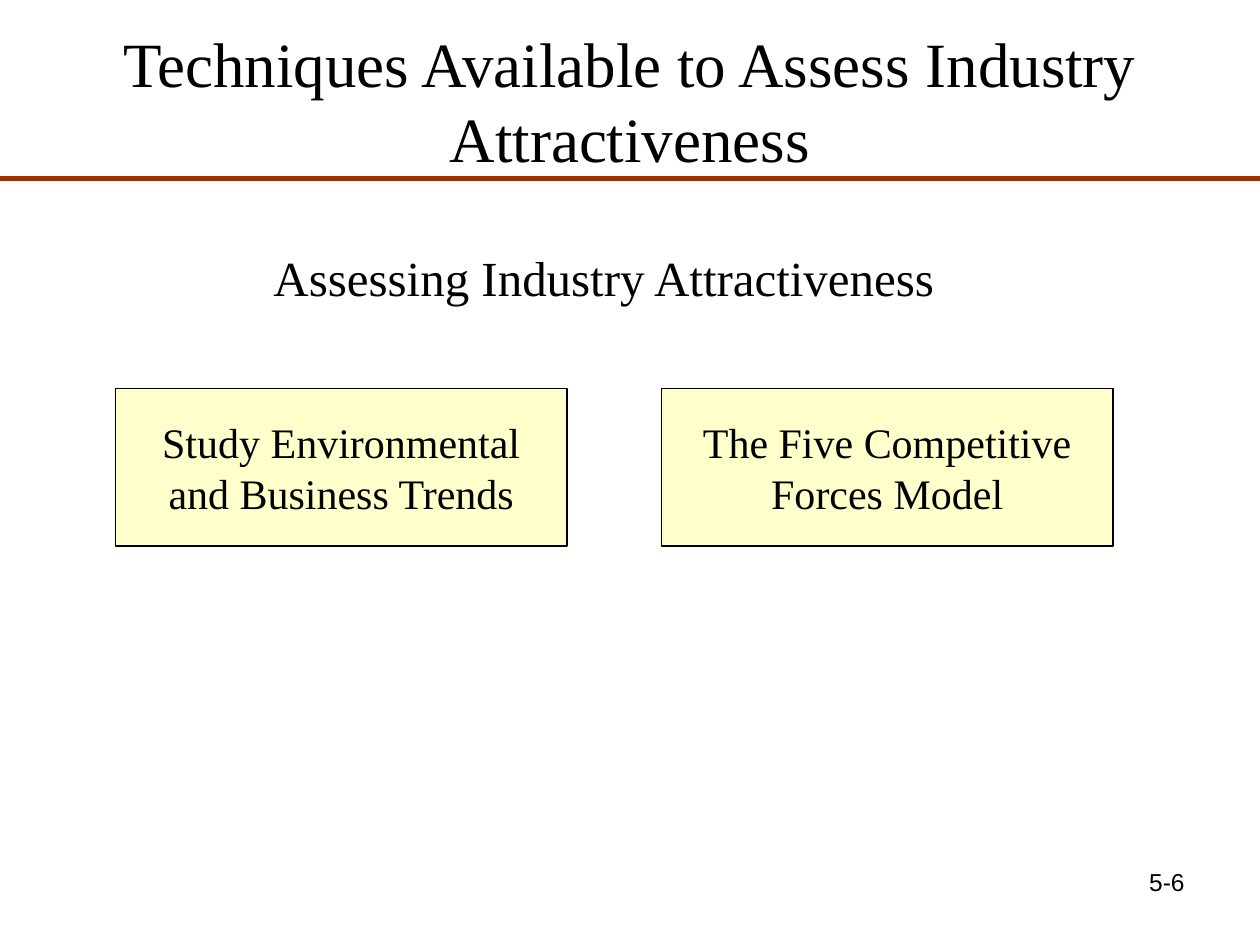
from pptx import Presentation
from pptx.dml.color import RGBColor
from pptx.enum.shapes import MSO_CONNECTOR, MSO_SHAPE
from pptx.enum.text import MSO_ANCHOR, PP_ALIGN
from pptx.oxml.ns import qn
from pptx.util import Pt
from lxml import etree

BLACK = RGBColor(0x00, 0x00, 0x00)
RUST = RGBColor(0x99, 0x33, 0x00)
CREAM = RGBColor(0xFF, 0xFF, 0xCC)
SERIF, SANS = "Times New Roman", "Arial"
CENTER, RIGHT = PP_ALIGN.CENTER, PP_ALIGN.RIGHT
TOP, MIDDLE = MSO_ANCHOR.TOP, MSO_ANCHOR.MIDDLE


def write(frame, lines, size, font=SERIF, align=CENTER, anchor=TOP, wrap=True):
    """Fill a text frame with one paragraph per item of lines."""
    frame.word_wrap = wrap
    frame.vertical_anchor = anchor
    frame.text = "\n".join(lines)
    for paragraph in frame.paragraphs:
        paragraph.alignment = align
        paragraph.font.name = font
        paragraph.font.size = Pt(size)
        paragraph.font.color.rgb = BLACK


prs = Presentation()
prs.slide_width, prs.slide_height = Pt(720), Pt(540)
slide = prs.slides.add_slide(prs.slide_layouts[6])
shapes = slide.shapes

title = shapes.add_textbox(Pt(36), Pt(12), Pt(648), Pt(90))
write(title.text_frame, ["Techniques Available to Assess Industry\vAttractiveness"],
      36, anchor=MIDDLE)

title_rule = shapes.add_connector(MSO_CONNECTOR.STRAIGHT, Pt(0), Pt(102), Pt(720), Pt(102))
title_rule.line.color.rgb = RUST
title_rule.line.width = Pt(3)
etree.SubElement(title_rule._element.spPr, qn("a:effectLst"))

techniques = [
    ["Study Environmental", "and Business Trends"],
    ["The Five Competitive", "Forces Model"],
]
for column, lines in enumerate(techniques):
    technique = shapes.add_shape(MSO_SHAPE.RECTANGLE, Pt(66 + 312 * column), Pt(222),
                                 Pt(258), Pt(90))
    technique.shadow.inherit = False
    technique.fill.solid()
    technique.fill.fore_color.rgb = CREAM
    technique.line.color.rgb = BLACK
    technique.line.width = Pt(0.75)
    write(technique.text_frame, lines, 24, anchor=MIDDLE, wrap=False)

heading = shapes.add_textbox(Pt(138), Pt(138), Pt(414), Pt(41))
write(heading.text_frame, ["Assessing Industry Attractiveness"], 28)

page_number = shapes.add_textbox(Pt(516), Pt(492), Pt(168), Pt(37.5))
write(page_number.text_frame, ["5-6"], 14, font=SANS, align=RIGHT)

prs.save("out.pptx")
